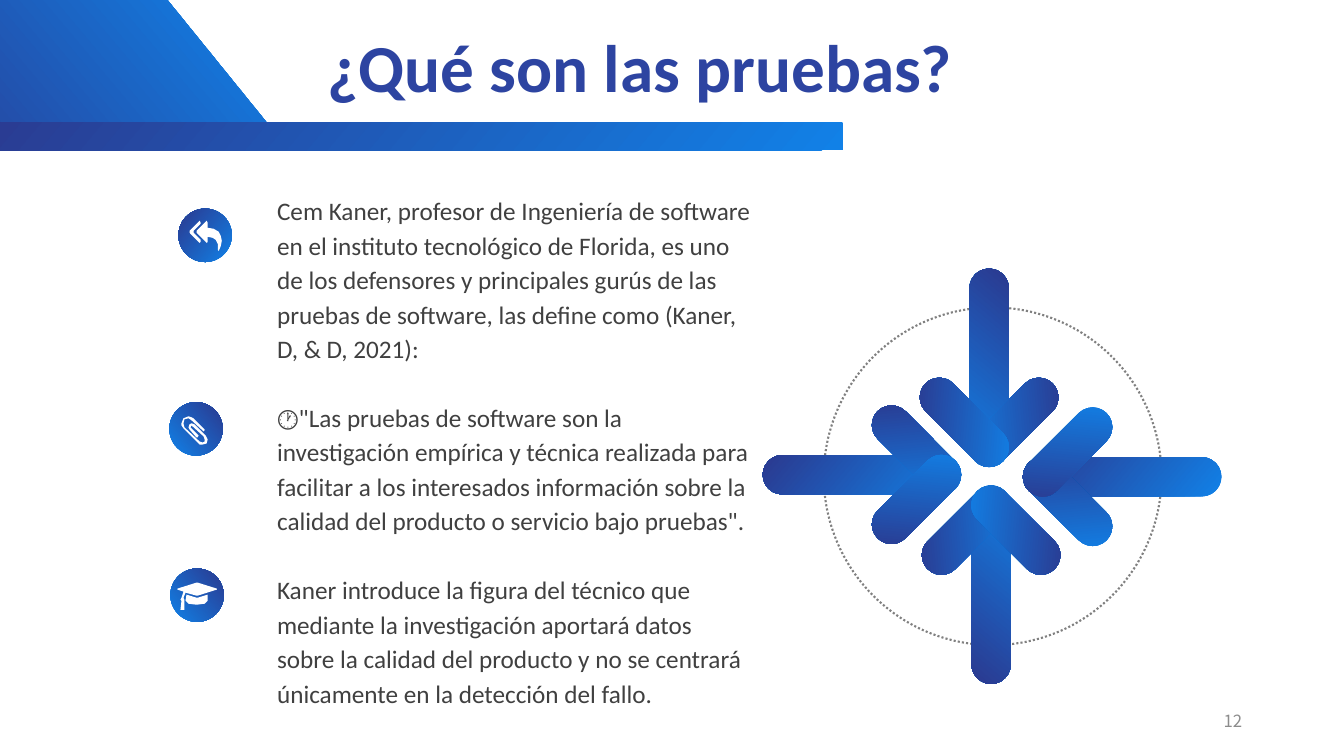
import math

import pptx
import pptx.dml.color
import pptx.enum.dml
import pptx.enum.shapes
import pptx.enum.text
import pptx.util
from pptx.util import Inches

SHAPES = pptx.enum.shapes.MSO_SHAPE
ALIGN = pptx.enum.text.PP_ALIGN
ANCHOR = pptx.enum.text.MSO_ANCHOR
AUTO_SIZE = pptx.enum.text.MSO_AUTO_SIZE

DEFINITION = [
    "Cem Kaner, profesor de Ingeniería de software en el instituto tecnológico de Florida, es uno "
    "de los defensores y principales gurús de las pruebas de software, las define como "
    "(Kaner, D, & D, 2021):",
    "🕐\"Las pruebas de software son la investigación empírica y técnica realizada para facilitar "
    "a los interesados información sobre la calidad del producto o servicio bajo pruebas\".",
    "Kaner introduce la figura del técnico que mediante la investigación aportará datos sobre la "
    "calidad del producto y no se centrará únicamente en la detección del fallo.",
]

REPLY_ICON = [
    [(1.99, 2.40), (1.98, 2.41), (1.97, 2.40), (1.88, 2.31), (1.88, 2.29), (1.97, 2.20),
     (1.98, 2.19), (1.99, 2.21), (1.99, 2.22), (1.92, 2.29), (1.92, 2.31), (1.99, 2.38)],
    [(2.17, 2.49), (2.16, 2.48), (2.16, 2.42), (2.14, 2.38), (2.11, 2.36), (2.06, 2.35),
     (2.06, 2.40), (2.05, 2.41), (2.04, 2.40), (1.95, 2.31), (1.95, 2.29), (2.04, 2.20),
     (2.05, 2.19), (2.06, 2.21), (2.06, 2.26), (2.12, 2.27), (2.17, 2.30), (2.19, 2.34),
     (2.20, 2.39), (2.19, 2.44)],
]
CLIP_ICON = [
    [(2.01, 4.41), (1.98, 4.41), (1.96, 4.39), (1.82, 4.25), (1.80, 4.22), (1.80, 4.20),
     (1.82, 4.15), (1.87, 4.13), (1.90, 4.14), (1.92, 4.15), (2.03, 4.26), (2.03, 4.27),
     (2.02, 4.28), (1.90, 4.17), (1.87, 4.15), (1.83, 4.16), (1.82, 4.20), (1.83, 4.24),
     (1.98, 4.38), (2.01, 4.39), (2.03, 4.38), (2.03, 4.36), (2.02, 4.33), (1.91, 4.23),
     (1.90, 4.22), (1.89, 4.24), (1.90, 4.25), (1.97, 4.32), (1.96, 4.34), (1.95, 4.34),
     (1.88, 4.26), (1.87, 4.24), (1.88, 4.21), (1.90, 4.20), (1.93, 4.21), (2.04, 4.32),
     (2.06, 4.36), (2.05, 4.40)],
]
GRADUATION_ICON = [
    [(2.15, 5.85), (1.96, 5.91), (1.95, 5.91), (1.84, 5.88), (1.82, 5.93), (1.83, 5.95),
     (1.83, 6.05), (1.79, 6.05), (1.80, 5.96), (1.79, 5.95), (1.80, 5.93), (1.82, 5.87),
     (1.76, 5.85), (1.76, 5.84), (1.95, 5.78), (1.96, 5.78), (2.15, 5.84)],
    [(2.06, 5.96), (2.03, 5.99), (1.95, 6.00), (1.87, 5.99), (1.84, 5.96), (1.85, 5.90),
     (1.95, 5.93), (1.96, 5.93), (2.06, 5.90)],
]


def color(value):
    return pptx.dml.color.RGBColor.from_string(value)


class SlideBuilder:
    bright, dark, white = "1181E7", "2B398F", "FFFFFF"
    bar_width = 0.39
    shaft_length, head_length = 1.97, 1.09

    def __init__(self, slide):
        self.slide = slide

    def shape(self, kind, left, top, width, height, rotation=0, flip=None, adjustment=None):
        shape = self.slide.shapes.add_shape(
            kind, Inches(left), Inches(top), Inches(width), Inches(height))
        shape.shadow.inherit = False
        shape.line.fill.background()
        shape.rotation = rotation % 360
        if flip:
            shape.element.spPr.xfrm.set(flip, "1")
        if adjustment is not None:
            shape.adjustments[0] = adjustment
        return shape

    def gradient(self, *geometry, **options):
        shape = self.shape(*geometry, **options)
        shape.fill.gradient()
        shape.fill.gradient_angle = 140
        for stop, value in zip(shape.fill.gradient_stops, (self.bright, self.dark)):
            stop.color.rgb = color(value)

    def dotted_ring(self, left, top, diameter):
        ring = self.shape(SHAPES.OVAL, left, top, diameter, diameter)
        ring.fill.background()
        ring.line.color.rgb = color("808080")
        ring.line.width = pptx.util.Pt(1.5)
        ring.line.dash_style = pptx.enum.dml.MSO_LINE.ROUND_DOT

    def bar(self, center_x, center_y, length, rotation, flip=None):
        self.gradient(SHAPES.ROUNDED_RECTANGLE, center_x - length / 2,
                      center_y - self.bar_width / 2, length, self.bar_width,
                      rotation=rotation, flip=flip, adjustment=0.5)

    def arrow(self, center_x, center_y, angle, direction=1):
        self.bar(center_x, center_y, self.shaft_length, angle)
        cosine, sine = math.cos(math.radians(angle)), math.sin(math.radians(angle))
        along = 0.54 * direction
        for turn, flip in ((1, None), (-1, "flipV")):
            across = -0.245 * turn * direction
            self.bar(center_x + along * cosine - across * sine,
                     center_y + along * sine + across * cosine,
                     self.head_length, angle + 45 * turn, flip)

    def icon(self, left, top, contours, flip=None):
        self.gradient(SHAPES.OVAL, left, top, 0.53, 0.53, flip=flip)
        outlines = [[(Inches(x), Inches(y)) for x, y in contour] for contour in contours]
        builder = self.slide.shapes.build_freeform(*outlines[0][0])
        for outline in outlines:
            builder.move_to(*outline[0])
            builder.add_line_segments(outline[1:], close=True)
        shape = builder.convert_to_shape()
        shape.shadow.inherit = False
        shape.fill.solid()
        shape.fill.fore_color.rgb = color(self.white)
        shape.line.fill.background()

    def text(self, left, top, width, height, paragraphs, size, value, font="Calibri",
             bold=False, wrap=True, grow=True, align=ALIGN.LEFT, anchor=ANCHOR.TOP,
             line_spacing=None, gap=0):
        box = self.slide.shapes.add_textbox(
            Inches(left), Inches(top), Inches(width), Inches(height))
        frame = box.text_frame
        frame.word_wrap = wrap
        frame.auto_size = AUTO_SIZE.SHAPE_TO_FIT_TEXT if grow else AUTO_SIZE.NONE
        frame.vertical_anchor = anchor
        for index, content in enumerate(paragraphs):
            paragraph = frame.add_paragraph() if index else frame.paragraphs[0]
            paragraph.text = content
            paragraph.alignment = align
            paragraph.line_spacing = line_spacing
            paragraph.space_before = pptx.util.Pt(gap if index else 0)
            paragraph.font.name = font
            paragraph.font.size = pptx.util.Pt(size)
            paragraph.font.bold = bold
            paragraph.font.color.rgb = color(value)


def main():
    presentation = pptx.Presentation()
    presentation.slide_width = Inches(13.33)
    presentation.slide_height = Inches(7.5)
    builder = SlideBuilder(presentation.slides.add_slide(presentation.slide_layouts[6]))

    builder.gradient(SHAPES.PARALLELOGRAM, -1.49, 0, 4.18, 1.27, flip="flipV", adjustment=0.81)
    builder.text(3.15, 0.2, 6.4, 0.91, ["¿Qué son las pruebas?"], 48, "2D44A1",
                 bold=True, wrap=False)
    builder.gradient(SHAPES.RECTANGLE, -0.41, 1.22, 8.77, 0.27)

    builder.dotted_ring(8.17, 3.05, 3.35)
    builder.arrow(9.81, 3.65, 90)
    builder.arrow(11.13, 4.73, 0, direction=-1)
    builder.arrow(8.55, 4.71, 0)
    builder.arrow(9.83, 5.8, 270)

    builder.icon(1.77, 2.07, REPLY_ICON)
    builder.icon(1.68, 3.99, CLIP_ICON, flip="flipH")
    builder.icon(1.69, 5.64, GRADUATION_ICON, flip="flipH")

    builder.text(2.65, 1.85, 4.93, 5.28, DEFINITION, 18, "404040", line_spacing=1.14, gap=24.6)
    builder.text(9.42, 6.95, 3, 0.4, ["12"], 12, "8C8C8C", font="Noto Sans CJK SC",
                 grow=False, align=ALIGN.RIGHT, anchor=ANCHOR.MIDDLE)
    presentation.save("out.pptx")


if __name__ == "__main__":
    main()
